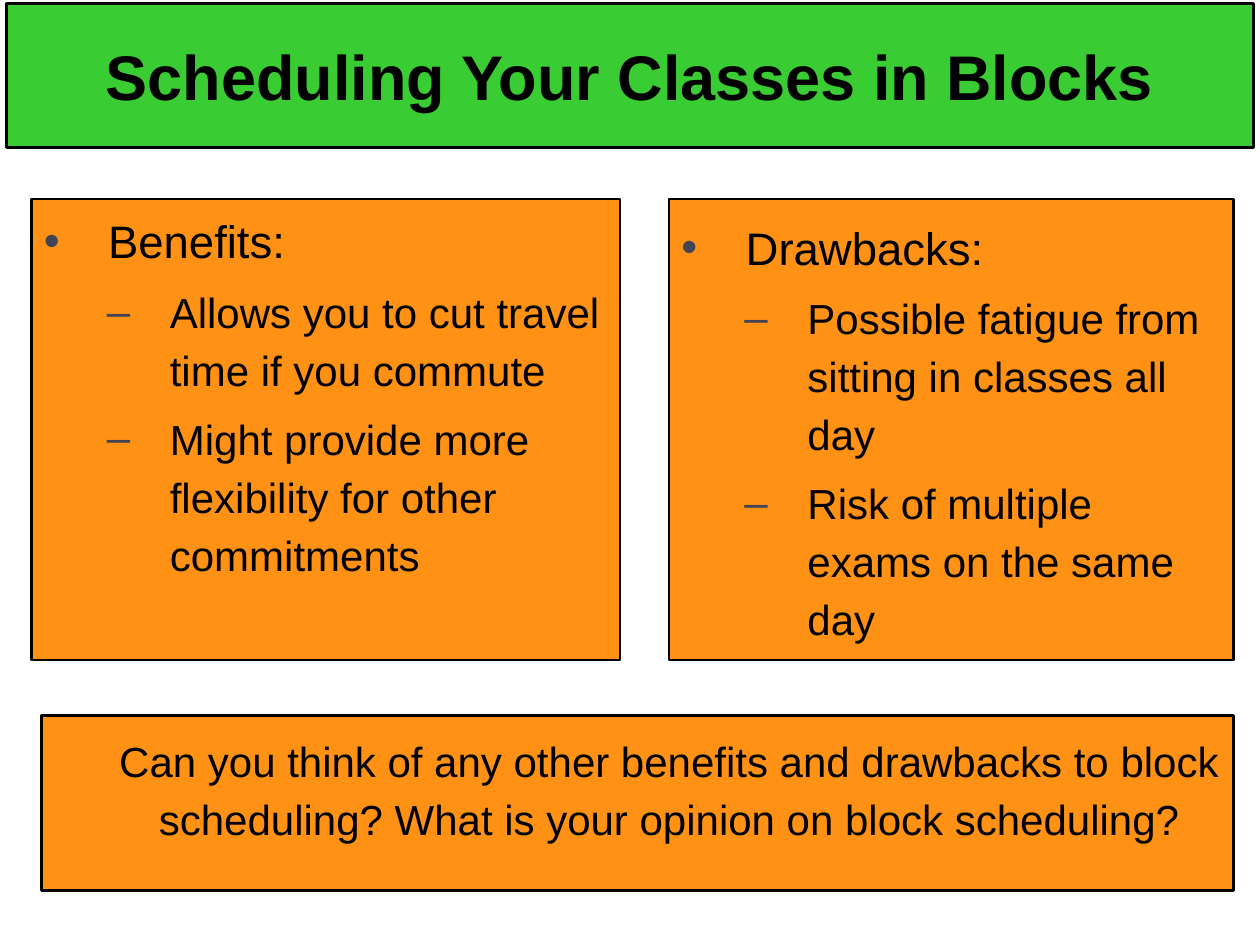
from lxml import etree
from pptx import Presentation
from pptx import util as u
from pptx.dml.color import RGBColor
from pptx.enum import shapes, text
from pptx.oxml.ns import qn

COLORS = {"title": "39CC33", "panel": "FF9115", "ink": "000000", "bullet": "424456"}
FONT = "Arial"
CELL = 0.1  # grid of 100 columns by 75 rows, in inches


class Deck:
    def __init__(self):
        self.prs = Presentation()
        self.prs.slide_width, self.prs.slide_height = u.Inches(10), u.Inches(7.5)
        self.s = self.prs.slides.add_slide(self.prs.slide_layouts[6])

    def panel(self, col, row, cols, rows, fill, inset=0.1, anchor="TOP"):
        """Add an outlined rectangle and return its text frame."""
        box = [u.Inches(n * CELL) for n in (col, row, cols, rows)]
        sp = self.s.shapes.add_shape(shapes.MSO_SHAPE.RECTANGLE, *box)
        sp.shadow.inherit = False
        sp.fill.solid()
        sp.fill.fore_color.rgb = RGBColor.from_string(COLORS[fill])
        sp.line.color.rgb = RGBColor.from_string(COLORS["ink"])
        sp.line.width = u.Pt(1.5)
        tf = sp.text_frame
        tf.word_wrap = True
        tf.vertical_anchor = text.MSO_ANCHOR[anchor]
        tf.margin_left = tf.margin_right = u.Inches(0.1)
        tf.margin_top = tf.margin_bottom = u.Inches(inset)
        return tf

    def para(self, tf, words, size, align="LEFT", level=0, bold=False, body=True):
        """Write one paragraph, reusing the empty first one."""
        p = tf.paragraphs[0]
        if p.runs:
            p = tf.add_paragraph()
        p.alignment = text.PP_ALIGN[align]
        p.level = level
        if body:
            p.line_spacing = 1.15
            p.space_before = u.Pt(6.2)
        r = p.add_run()
        r.text = words
        r.font.name, r.font.size, r.font.bold = FONT, u.Pt(size), bold
        r.font.color.rgb = RGBColor.from_string(COLORS["ink"])
        return p

    def bullet(self, p, char, left, hang):
        """Give a paragraph a coloured bullet and a hanging indent."""
        ppr = p._p.get_or_add_pPr()
        ppr.set("marL", str(u.Inches(left)))
        ppr.set("indent", str(-u.Inches(hang)))
        clr = etree.SubElement(ppr, qn("a:buClr"))
        etree.SubElement(clr, qn("a:srgbClr"), val=COLORS["bullet"])
        etree.SubElement(ppr, qn("a:buFont"), typeface=FONT)
        etree.SubElement(ppr, qn("a:buChar"), char=char)

    def bullet_list(self, tf, heading, items):
        self.bullet(self.para(tf, heading, 26), "•", 0.51, 0.51)
        for item in items:
            self.bullet(self.para(tf, item, 24, level=1), "–", 1, 0.5)


def main():
    deck = Deck()

    # Title band
    tf = deck.panel(0.5, 0.3, 99, 11.4, "title", inset=0.05, anchor="MIDDLE")
    deck.para(tf, "Scheduling Your Classes in Blocks", 36, "CENTER", bold=True, body=False)

    # Benefits and drawbacks, side by side
    columns = [
        (2.5, 46.7, 0.05, "Benefits:", [
            "Allows you to cut travel time if you commute",
            "Might provide more flexibility for other commitments"]),
        (53.1, 44.8, 0.1, "Drawbacks:", [
            "Possible fatigue from sitting in classes all day",
            "Risk of multiple exams on the same day"]),
    ]
    for col, cols, inset, heading, items in columns:
        tf = deck.panel(col, 15.8, cols, 36.6, "panel", inset)
        deck.bullet_list(tf, heading, items)

    # Discussion question
    tf = deck.panel(3.3, 56.8, 94.6, 13.9, "panel")
    deck.para(tf, "Can you think of any other benefits and drawbacks to block scheduling? "
                  "What is your opinion on block scheduling?", 24, "CENTER", level=1)

    deck.prs.save("out.pptx")


if __name__ == "__main__":
    main()
